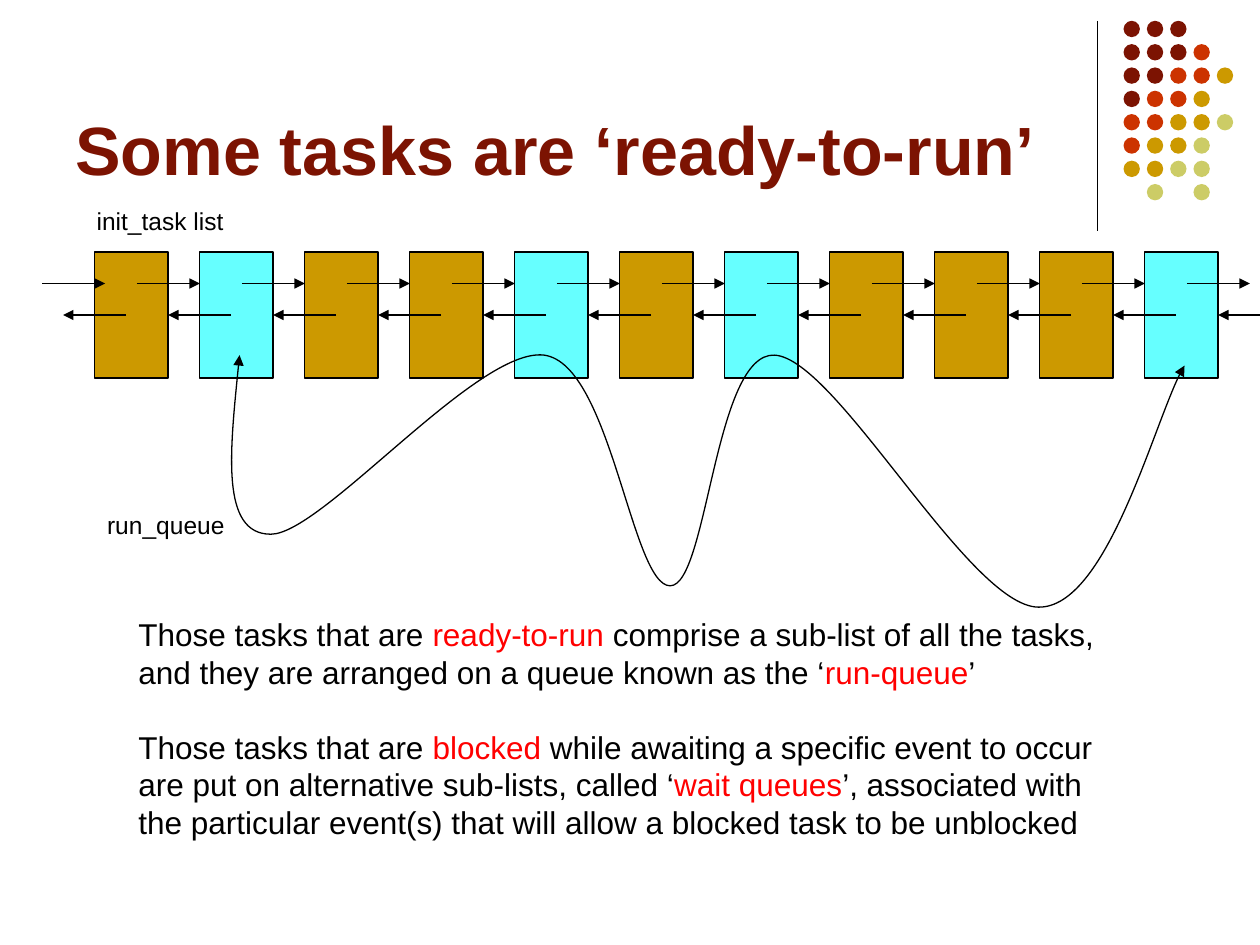
from dataclasses import dataclass

from lxml import etree
from pptx import Presentation
from pptx.dml.color import RGBColor
from pptx.enum.shapes import MSO_CONNECTOR, MSO_SHAPE
from pptx.enum.text import MSO_ANCHOR
from pptx.oxml.ns import qn
from pptx.util import Cm, Pt

STRAIGHT = MSO_CONNECTOR.STRAIGHT
RECTANGLE = MSO_SHAPE.RECTANGLE
OVAL = MSO_SHAPE.OVAL
TOP, BOTTOM = MSO_ANCHOR.TOP, MSO_ANCHOR.BOTTOM
RIGHT_SIDE = 3

COLORS = {
    "maroon": "7C1302",
    "rust": "CC3300",
    "gold": "CC9900",
    "olive": "CCCC66",
    "cyan": "66FFFF",
    "red": "FF0000",
    "black": "000000",
}
SLIDE_WIDTH, SLIDE_HEIGHT = 25.4, 19.05

# One letter per dot: first letter of its colour, or a space for a gap
DOT_ROWS = ["mmm", "mmmr", "mmrrg", "mrrg", "rrggo", "rggo", "ggoo", " o o"]
DOT_COLORS = {"m": "maroon", "r": "rust", "g": "gold", "o": "olive"}
DOT_LEFT, DOT_TOP, DOT_PITCH, DOT_SIZE = 22.65, 0.42, 0.47, 0.33

TASK_COUNT = 11
READY_TASKS = {1, 4, 6, 10}
TASK_LEFT, TASK_TOP, TASK_WIDTH, TASK_HEIGHT = 1.91, 5.08, 1.48, 2.54
TASK_PITCH = SLIDE_WIDTH / 12
NEXT_Y = TASK_TOP + TASK_HEIGHT / 4
PREVIOUS_Y = TASK_TOP + TASK_HEIGHT / 2
ARROW_LENGTH = 1.27

# Start point, then two control points and an end point per bend
RUN_QUEUE_POINTS = [
    (4.83, 7.16),
    (4.65, 8.97), (4.44, 10.77), (5.46, 10.77),
    (6.5, 10.77), (9.63, 6.99), (10.97, 7.16),
    (12.32, 7.34), (12.73, 11.81), (13.51, 11.81),
    (14.27, 11.81), (14.4, 7.09), (15.62, 7.16),
    (16.87, 7.24), (19.53, 12.22), (20.93, 12.24),
    (22.3, 12.27), (23.34, 8.23), (23.88, 7.37),
]


@dataclass
class TextBlock:
    left: float
    top: float
    width: float
    height: float
    paragraphs: list[list[tuple[str, str]]]
    size: float
    bold: bool = False
    wrap: bool = True
    anchor: MSO_ANCHOR = TOP
    gap: float = 0


TEXT_BLOCKS = [
    TextBlock(1.27, 0.33, 20.96, 3.61,
              [[("Some tasks are ‘ready-to-run’", "maroon")]],
              39, bold=True, anchor=BOTTOM),
    TextBlock(2.54, 12.28, 19.94, 4.83, [
        [("Those tasks that are ", "black"),
         ("ready-to-run", "red"),
         (" comprise a sub-list of all the tasks, "
          "and they are arranged on a queue known as the ‘", "black"),
         ("run-queue", "red"),
         ("’", "black")],
        [("Those tasks that are ", "black"),
         ("blocked ", "red"),
         ("while awaiting a specific event to occur "
          "are put on alternative sub-lists, called ‘", "black"),
         ("wait queues", "red"),
         ("’, associated with the particular event(s) "
          "that will allow a blocked task to be unblocked", "black")],
    ], 18, gap=21),
    TextBlock(1.91, 10.16, 2.87, 0.86, [[("run_queue", "black")]], 14, wrap=False),
    TextBlock(1.7, 4.02, 3.07, 0.86, [[("init_task list", "black")]], 14, wrap=False),
]


def rgb(color: str) -> RGBColor:
    return RGBColor.from_string(COLORS[color])


def style_line(shape, *arrow_ends: str) -> None:
    """Give a thin black line, with arrowheads at "headEnd" and/or "tailEnd"."""
    shape.line.color.rgb = rgb("black")
    shape.line.width = Pt(0.75)
    outline = shape.element.spPr.find(qn("a:ln"))
    for end in arrow_ends:
        etree.SubElement(outline, qn(f"a:{end}"), type="triangle")


def add_solid(shapes, kind: MSO_SHAPE, left: float, top: float,
              width: float, height: float, color: str):
    shape = shapes.add_shape(kind, Cm(left), Cm(top), Cm(width), Cm(height))
    shape.shadow.inherit = False
    shape.fill.solid()
    shape.fill.fore_color.rgb = rgb(color)
    return shape


def add_line(shapes, start: tuple[float, float], end: tuple[float, float],
             *arrow_ends: str):
    line = shapes.add_connector(STRAIGHT, *(Cm(v) for v in (*start, *end)))
    style_line(line, *arrow_ends)
    etree.SubElement(line.element.spPr, qn("a:effectLst"))
    return line


def add_corner_dots(shapes) -> None:
    for row, letters in enumerate(DOT_ROWS):
        for column, letter in enumerate(letters):
            if letter in DOT_COLORS:
                add_solid(shapes, OVAL, DOT_LEFT + column * DOT_PITCH,
                          DOT_TOP + row * DOT_PITCH, DOT_SIZE, DOT_SIZE,
                          DOT_COLORS[letter]).line.fill.background()


def add_task_list(shapes) -> None:
    """Draw the tasks and the arrows of their doubly linked list."""
    lefts = [TASK_LEFT + i * TASK_PITCH for i in range(TASK_COUNT)]
    tasks = []
    for i, left in enumerate(lefts):
        color = "cyan" if i in READY_TASKS else "gold"
        task = add_solid(shapes, RECTANGLE, left, TASK_TOP,
                         TASK_WIDTH, TASK_HEIGHT, color)
        style_line(task)
        tasks.append(task)

    for start in [0.85] + [left + 0.85 for left in lefts]:
        add_line(shapes, (start, NEXT_Y), (start + ARROW_LENGTH, NEXT_Y), "tailEnd")

    add_line(shapes, (ARROW_LENGTH * 2, PREVIOUS_Y),
             (ARROW_LENGTH, PREVIOUS_Y), "tailEnd")
    for task, left in zip(tasks, lefts):
        right = left + TASK_WIDTH
        start = min(right + ARROW_LENGTH, SLIDE_WIDTH)
        link = add_line(shapes, (start, PREVIOUS_Y), (right, PREVIOUS_Y), "tailEnd")
        link.end_connect(task, RIGHT_SIDE)


def add_run_queue_curve(shapes) -> None:
    """Build the outline from points, then turn each three lines into a Bézier."""
    first, *others = [(Cm(x), Cm(y)) for x, y in RUN_QUEUE_POINTS]
    builder = shapes.build_freeform(*first)
    builder.add_line_segments(others, close=False)
    curve = builder.convert_to_shape()
    curve.shadow.inherit = False
    curve.fill.background()
    style_line(curve, "headEnd", "tailEnd")
    outline = next(curve.element.iter(qn("a:path")))
    segments = outline.findall(qn("a:lnTo"))
    for i in range(0, len(segments), 3):
        bend = etree.SubElement(outline, qn("a:cubicBezTo"))
        for segment in segments[i:i + 3]:
            bend.append(segment[0])
            outline.remove(segment)


def add_text(shapes, block: TextBlock) -> None:
    box = shapes.add_textbox(Cm(block.left), Cm(block.top),
                             Cm(block.width), Cm(block.height))
    frame = box.text_frame
    frame.word_wrap = block.wrap
    frame.vertical_anchor = block.anchor
    font_format = {"name": "Arial", "size": Pt(block.size), "bold": block.bold}
    for i, pieces in enumerate(block.paragraphs):
        paragraph = frame.add_paragraph() if i else frame.paragraphs[0]
        if i:
            paragraph.space_before = Pt(block.gap)
        for words, color in pieces:
            run = paragraph.add_run()
            run.text = words
            for attribute, value in font_format.items():
                setattr(run.font, attribute, value)
            run.font.color.rgb = rgb(color)


def main() -> None:
    deck = Presentation()
    deck.slide_width, deck.slide_height = Cm(SLIDE_WIDTH), Cm(SLIDE_HEIGHT)
    shapes = deck.slides.add_slide(deck.slide_layouts[6]).shapes
    add_line(shapes, (22.12, 0.42), (22.12, 4.66))
    add_corner_dots(shapes)
    add_task_list(shapes)
    add_run_queue_curve(shapes)
    for block in TEXT_BLOCKS:
        add_text(shapes, block)
    deck.save("out.pptx")


if __name__ == "__main__":
    main()
